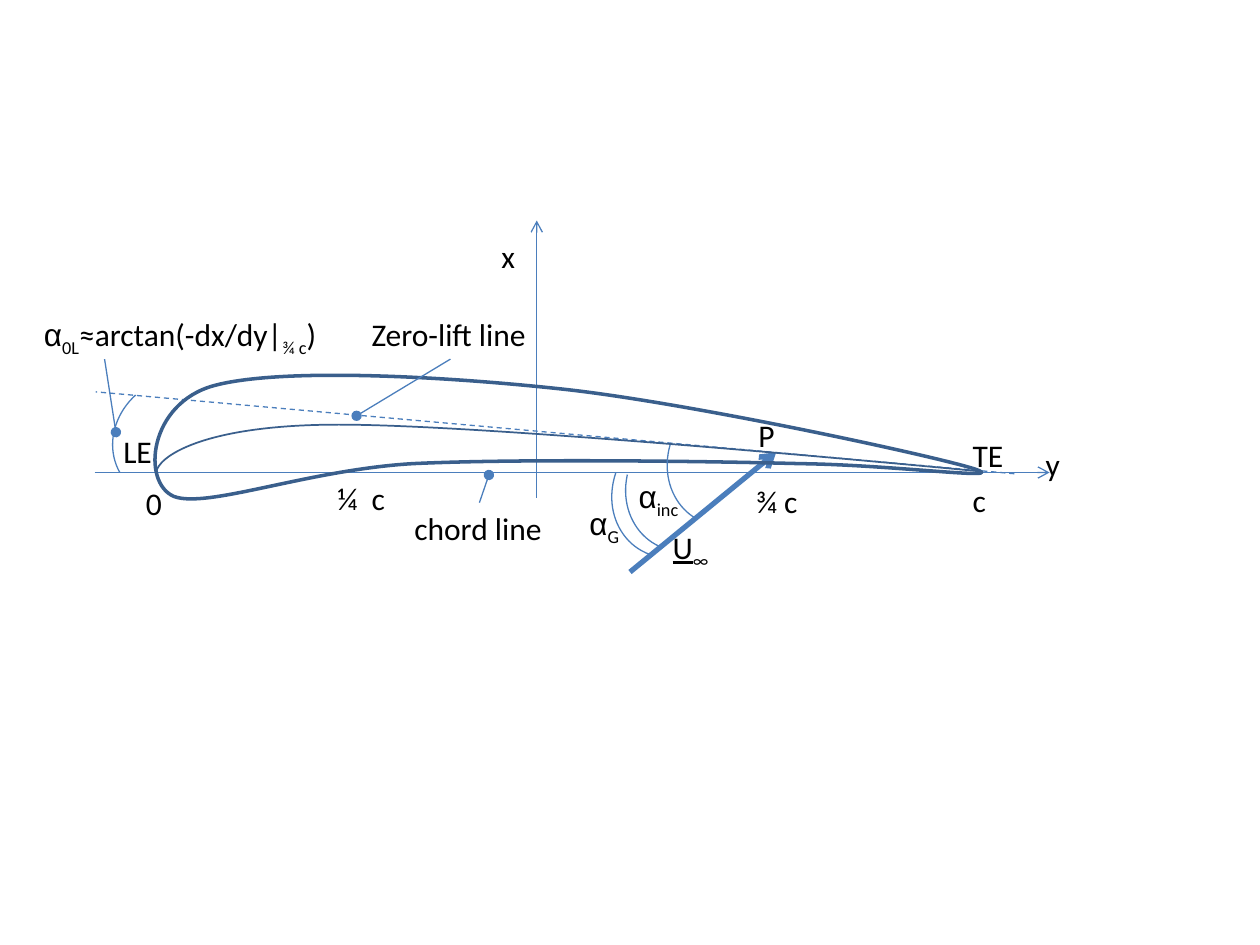
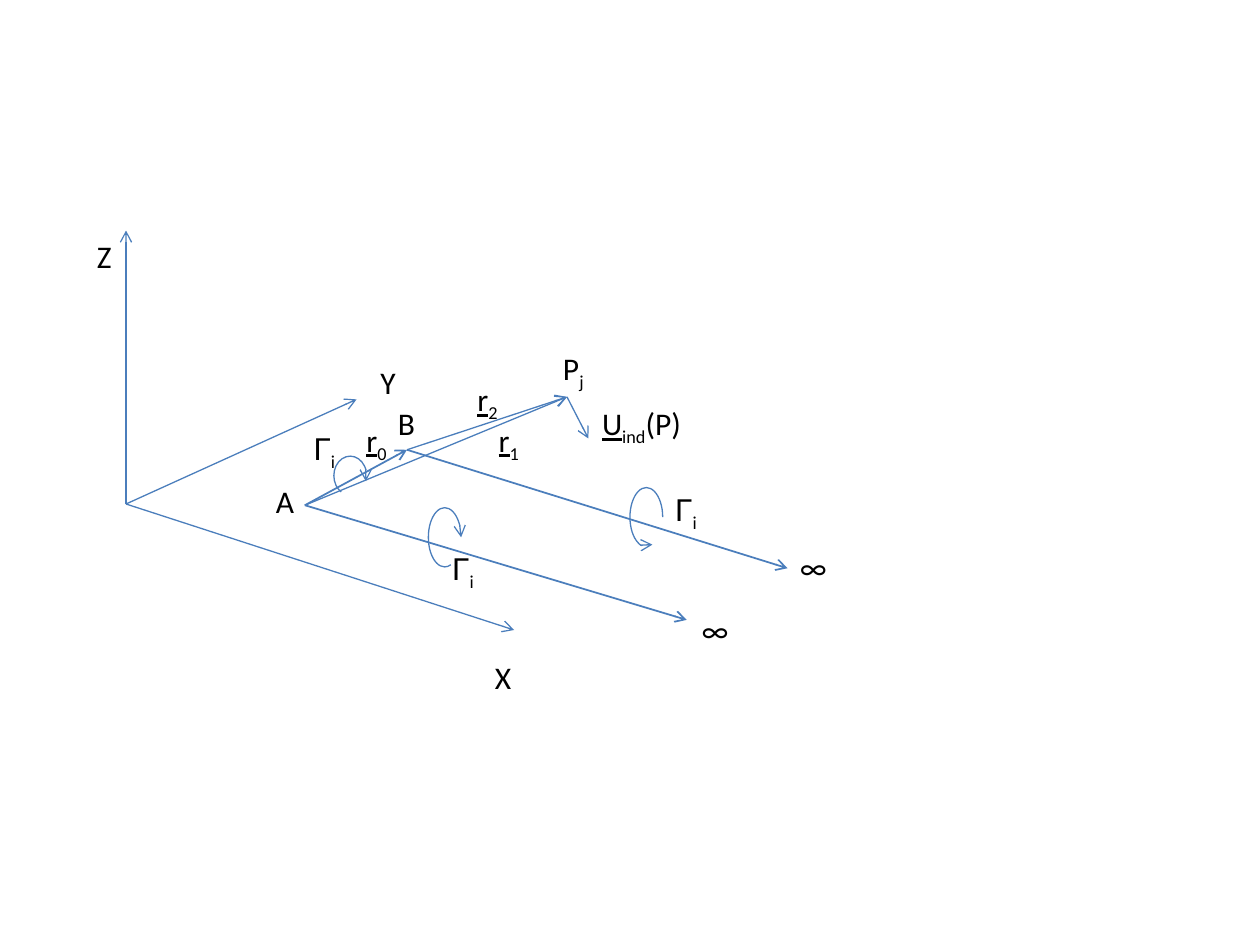
from pptx import Presentation, util as u
from pptx.dml.color import RGBColor
from pptx.enum import dml, shapes, text
from pptx.oxml import xmlchemy as xml
from lxml import etree

# Shared look; positions are columns and rows of a one-inch grid
COLUMNS, ROWS = 10, 7.5
LINE, OUTLINE, INK = "4B7EBC", "3A5F8C", "000000"
THIN, MEDIUM, THICK = 0.75, 1, 2
LABEL_HEIGHT, LABEL_SIZE = 0.4, 18
GREEK = "αΓ"
CURVE_UNITS = 100

# Aerofoil section: labels are (runs, left, top, width); a run is text or (text, style)
AEROFOIL_LABELS = {
    "origin": (["0"], 1.06, 3.79, 0.33),
    "three quarter": (["¾ c"], 5.9, 3.78, 0.54),
    "chord end": (["c"], 7.62, 3.77, 0.31),
    "y axis": (["y"], 8.2, 3.48, 0.32),
    "geometric angle": (["α", ("G", "sub")], 4.58, 3.95, 0.47),
    "incidence": (["α", ("inc", "sub")], 4.97, 3.74, 0.56),
    "zero-lift angle": (["α", ("0L", "sub"), "≈arctan(-dx/dy|", ("¾ c", "sub"), ")"],
                        0.25, 2.45, 2.58),
    "x axis": (["x"], 3.88, 1.83, 0.32),
    "velocity": ([("U", "under"), ("∞", "sub")], 5.24, 4.14, 0.56),
    "point": (["P"], 5.92, 3.25, 0.33),
    "quarter": (["¼  c"], 2.58, 3.75, 0.59),
    "zero-lift line": (["Zero-lift line"], 2.85, 2.45, 1.45),
    "chord line": (["chord line"], 3.19, 3.99, 1.23),
    "trailing edge": (["TE"], 7.62, 3.41, 0.55),
    "leading edge": (["LE"], 0.88, 3.38, 0.55),
}
# Lines: start, end, end mark, width, dashed
AEROFOIL_LINES = [
    ((0.75, 3.75), (8.33, 3.75), "arrow", THIN, False),
    ((8.05, 3.76), (0.76, 3.11), None, THIN, True),
    ((5, 4.54), (6.16, 3.59), "arrow", 3, False),
    ((4.26, 3.95), (4.26, 1.75), "arrow", THIN, False),
    ((0.83, 2.85), (0.92, 3.43), "oval", THIN, False),
]
# Leaders: label, side of the label, start, end
LEADERS = [
    ("zero-lift line", 2, (3.58, 2.85), (2.83, 3.3)),
    ("chord line", 0, (3.8, 3.99), (3.88, 3.77)),
]
# Curves: start point, then two controls and an end for each Bézier segment
CAMBER = [(1.24, 3.75),
          (1.25, 3.63), (1.6, 3.37), (2.69, 3.37),
          (3.78, 3.37), (6.71, 3.64), (7.77, 3.74)]
SECTION = [(1.38, 3.94),
           (1.12, 3.83), (1.18, 3.2), (1.7, 3.06),
           (2.22, 2.92), (3.47, 2.98), (4.48, 3.09),
           (5.48, 3.2), (7.42, 3.62), (7.73, 3.72),
           (8.04, 3.82), (7.11, 3.69), (6.36, 3.68),
           (5.61, 3.66), (4.1, 3.64), (3.27, 3.68),
           (2.44, 3.73), (1.64, 4.04), (1.38, 3.94)]
AEROFOIL_CURVES = [(CAMBER, MEDIUM, False), (SECTION, THICK, True)]
# Angle arcs: left, top, rotation, start and end in degrees
ANGLE_SIZE = (0.98, 1.1)
ANGLES = [
    (5.31, 3.09, 209.2, 270, 343.6),
    (4.87, 3.34, 209.2, 261.43, 347.33),
    (4.98, 3.29, 209.2, 264.96, 339.36),
    (0.94, 2.93, 240.7, 270, 343.6),
]

# Horseshoe vortex
ORIGIN, A, B, P = (1, 4), (2.42, 4.01), (3.23, 3.57), (4.5, 3.15)
VORTEX_LINES = [(start, end, "arrow", width, False) for start, end, width in [
    (ORIGIN, (1, 1.83), THIN), (ORIGIN, (2.83, 3.17), THIN), (ORIGIN, (4.08, 5), THIN),
    (A, B, MEDIUM), (B, (6.25, 4.51), MEDIUM), (A, (5.45, 4.92), MEDIUM),
    (B, P, THIN), (A, P, THIN), (P, (4.67, 3.48), THIN)]]
GAMMA = ["Γ", ("i", "sub")]
VORTEX_LABELS = {
    "X axis": (["X"], 3.83, 5.17, 0.33),
    "Y axis": (["Y"], 2.92, 2.83, 0.33),
    "Z axis": (["Z"], 0.67, 1.83, 0.32),
    "B": (["B"], 3.06, 3.16, 0.34),
    "A": (["A"], 2.09, 3.78, 0.35),
    "P": (["P", ("j", "sub")], 4.37, 2.72, 0.37),
    "r0": ([("r", "under"), ("0", "sub")], 2.81, 3.29, 0.5),
    "r2": ([("r", "under"), ("2", "sub")], 3.69, 2.97, 0.5),
    "r1": ([("r", "under"), ("1", "sub")], 3.86, 3.29, 0.5),
    "near infinity": (["∞"], 5.47, 4.8, 0.42),
    "far infinity": (["∞"], 6.25, 4.3, 0.42),
    "induced": ([("U", "under"), ("ind", "sub"), "(P)"], 4.68, 3.16, 0.86),
    "near gamma": (GAMMA, 3.49, 4.31, 0.39),
    "far gamma": (GAMMA, 5.26, 3.84, 0.39),
    "bound gamma": (GAMMA, 2.39, 3.36, 0.39),
}
# Circulation arcs: left, top, width, height, start, end, arrow end
CIRCULATIONS = [
    (3.4, 4.03, 0.26, 0.47, 77.47, 0, "tailEnd"),
    (5, 3.87, 0.26, 0.47, 77.47, 0, "headEnd"),
    (2.65, 3.62, 0.26, 0.31, 119.17, 19.61, "tailEnd"),
]
WRAPPED = {"zero-lift angle", "trailing edge", "leading edge", "r0", "r1", "r2"}


def color(value):
    return RGBColor.from_string(value)


def grid(*values):
    return [u.Inches(value) for value in values]


def style_line(shape, width, value=LINE, mark=None, end="tailEnd", dashed=False):
    shape.line.color.rgb = color(value)
    shape.line.width = u.Pt(width)
    if dashed:
        shape.line.dash_style = dml.MSO_LINE.DASH
    if mark:
        outline = shape.line._get_or_add_ln()
        etree.SubElement(outline, xml.qn(f"a:{end}"), type=mark)


def add_line(slide, start, end, mark, width, dashed):
    line = slide.shapes.add_connector(shapes.MSO_CONNECTOR.STRAIGHT, *grid(*start, *end))
    style_line(line, width, mark=mark, dashed=dashed)
    etree.SubElement(line._element.spPr, xml.qn("a:effectLst"))
    return line


def add_arc(slide, box, start, end, rotation=0, mark=None, mark_end="tailEnd"):
    arc = slide.shapes.add_shape(shapes.MSO_SHAPE.ARC, *grid(*box))
    arc.rotation = rotation
    # Adjustments count 60000ths of a degree in units of 100000
    for index, angle in enumerate((start, end)):
        arc.adjustments[index] = angle * 0.6
    arc.fill.background()
    arc.shadow.inherit = False
    style_line(arc, THIN, mark=mark, end=mark_end)


def add_curve(slide, points, width, closed):
    start, *rest = [tuple(round(value * CURVE_UNITS) for value in point) for point in points]
    builder = slide.shapes.build_freeform(*start, scale=u.Inches(1) / CURVE_UNITS)
    builder.add_line_segments(rest, close=closed)
    shape = builder.convert_to_shape()
    # Join every three straight segments into one Bézier segment
    segments = list(shape._element.iter(xml.qn("a:lnTo")))
    for first in range(0, len(segments), 3):
        group = segments[first:first + 3]
        bezier = etree.Element(xml.qn("a:cubicBezTo"))
        group[0].addprevious(bezier)
        for segment in group:
            bezier.append(segment[0])
            segment.getparent().remove(segment)
    shape.fill.background()
    shape.shadow.inherit = False
    style_line(shape, width, OUTLINE)


def add_label(slide, runs, left, top, width, wrap):
    label = slide.shapes.add_textbox(*grid(left, top, width, LABEL_HEIGHT))
    frame = label.text_frame
    frame.word_wrap = wrap
    frame.auto_size = text.MSO_AUTO_SIZE.SHAPE_TO_FIT_TEXT
    paragraph = frame.paragraphs[0]
    for item in runs:
        words, style = (item, None) if isinstance(item, str) else item
        run = paragraph.add_run()
        run.text = words
        run.font.size = u.Pt(LABEL_SIZE)
        run.font.name = "Arial" if words in GREEK else "Calibri"
        run.font.color.rgb = color(INK)
        if style == "under":
            run.font.underline = True
        elif style == "sub":
            run._r.get_or_add_rPr().set("baseline", "-25000")
    return label


def add_diagram(presentation, lines, labels, curves=()):
    slide = presentation.slides.add_slide(presentation.slide_layouts[6])
    for line in lines:
        add_line(slide, *line)
    for curve in curves:
        add_curve(slide, *curve)
    boxes = {name: add_label(slide, *label, name in WRAPPED)
             for name, label in labels.items()}
    return slide, boxes


def main():
    presentation = Presentation()
    presentation.slide_width, presentation.slide_height = grid(COLUMNS, ROWS)

    # Aerofoil
    slide, boxes = add_diagram(presentation, AEROFOIL_LINES, AEROFOIL_LABELS, AEROFOIL_CURVES)
    for left, top, rotation, start, end in ANGLES:
        add_arc(slide, (left, top, *ANGLE_SIZE), start, end, rotation)
    for name, side, start, end in LEADERS:
        leader = add_line(slide, start, end, "oval", THIN, False)
        leader.begin_connect(boxes[name], side)

    # Horseshoe vortex
    slide, _ = add_diagram(presentation, VORTEX_LINES, VORTEX_LABELS)
    for *box, start, end, mark_end in CIRCULATIONS:
        add_arc(slide, box, start, end, mark="arrow", mark_end=mark_end)

    presentation.save("out.pptx")


if __name__ == "__main__":
    main()
